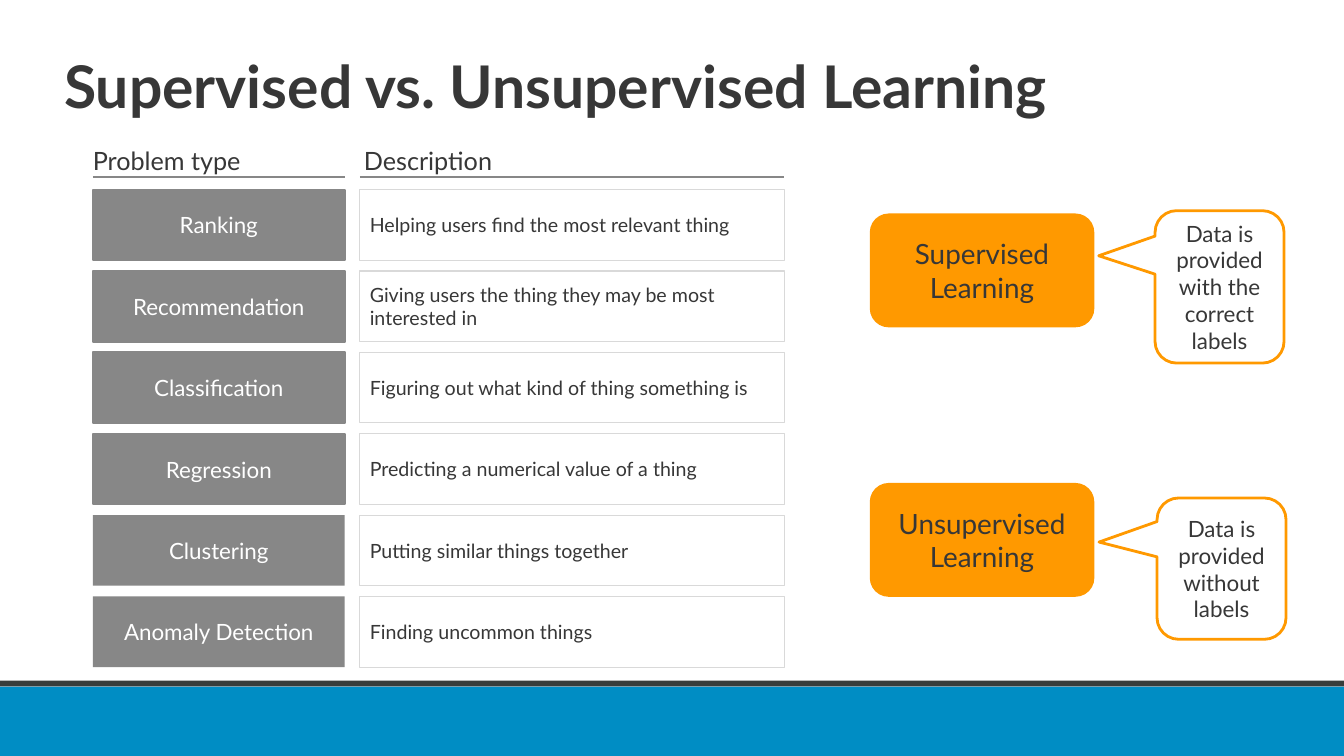
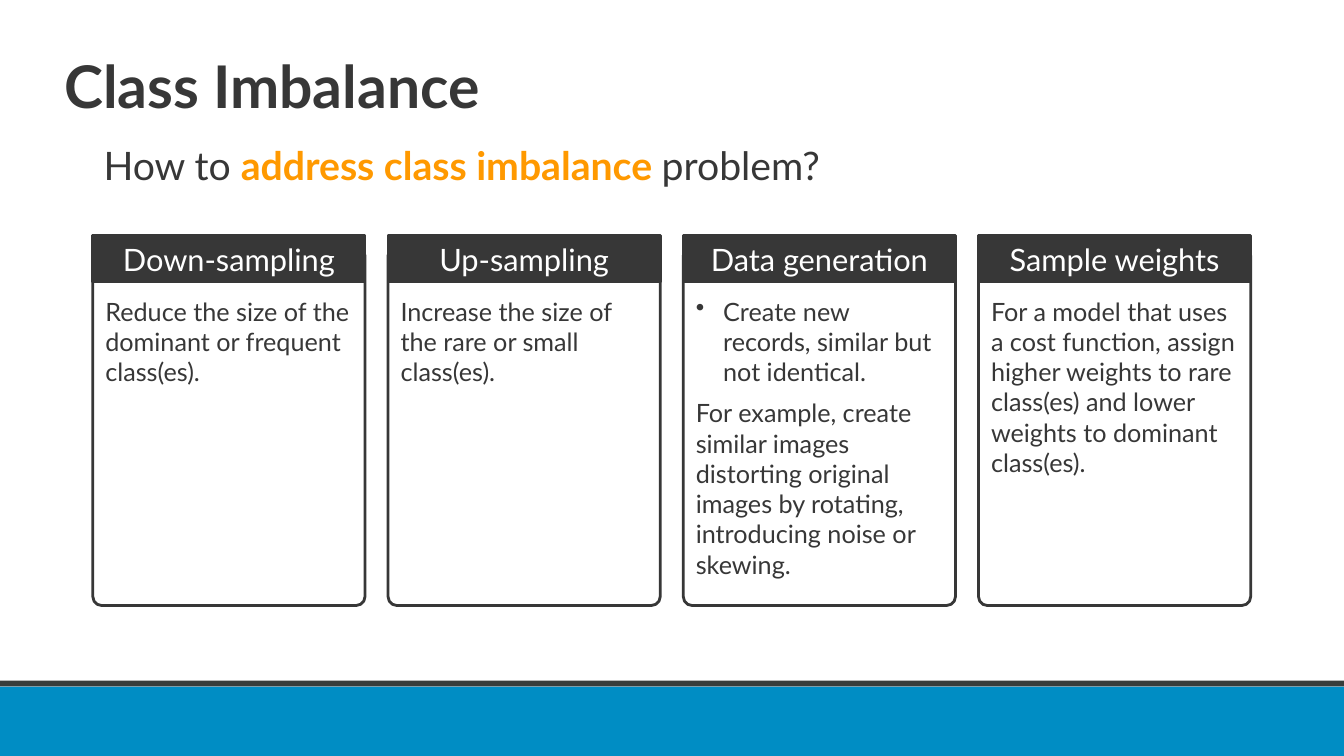
import pptx
import pptx.util
import pptx.dml.color
import pptx.enum.shapes
import pptx.enum.text
import lxml.etree
import pptx.oxml.ns

Cm = pptx.util.Cm
Pt = pptx.util.Pt
KIND = pptx.enum.shapes.MSO_SHAPE
ALIGN = pptx.enum.text.PP_ALIGN
ANCHOR = pptx.enum.text.MSO_ANCHOR
WIDE, HIGH = 33.87, 19.05
FONT = "Lato"
HUES = {
    "ink": "373737", "white": "FFFFFF", "blue": "008DC4", "edge": "383D3B",
    "gray": "878787", "pale": "D9D9D9", "gold": "FF9900",
}

TASKS = [
    ("Ranking", "Helping users find the most relevant thing", "gray"),
    ("Recommendation", "Giving users the thing they may be most interested in", "gray"),
    ("Classification", "Figuring out what kind of thing something is", "gray"),
    ("Regression", "Predicting a numerical value of a thing", "gray"),
    ("Clustering", "Putting similar things together", None),
    ("Anomaly Detection", "Finding uncommon things", None),
]
MODES = [
    ("Supervised Learning", (21.92, 5.38, 5.66, 2.87),
     "Data is provided with the correct labels", (29.11, 5.31, 3.25, 3.84),
     (-0.937, -0.204, 0.167)),
    ("Unsupervised Learning", (21.92, 12.17, 5.66, 2.87),
     "Data is provided without labels", (29.16, 12.55, 3.25, 3.56),
     (-0.95, -0.188, 0.167)),
]
CARDS = [
    ("Down-sampling", [("Reduce the size of the dominant or frequent class(es).", False)]),
    ("Up-sampling", [("Increase the size of the rare or small class(es).", False)]),
    ("Data generation", [
        ("Create new records, similar but not identical.", True),
        ("For example, create similar images distorting original images by "
         "rotating, introducing noise or skewing.", False)]),
    ("Sample weights", [
        ("For a model that uses a cost function, assign higher weights to rare "
         "class(es) and lower weights to dominant class(es).", False)]),
]


def tint(name):
    """Return the named colour."""
    return pptx.dml.color.RGBColor.from_string(HUES[name])


def say(shape, text, size, hue="ink", bold=False, align=ALIGN.LEFT,
        lead=None, gap=0, dot=False, join=False):
    """Write a paragraph in a shape, or join a run to its last one."""
    frame = shape.text_frame
    para = frame.paragraphs[-1]
    if not join:
        if para.runs:
            para = frame.add_paragraph()
            para.space_before = Pt(gap)
        para.alignment = align
        para.line_spacing = lead
        if dot:
            props = para._p.get_or_add_pPr()
            props.set("marL", str(Cm(0.69)))
            props.set("indent", str(-Cm(0.69)))
            mark = lxml.etree.SubElement(props, pptx.oxml.ns.qn("a:buChar"))
            mark.set("char", "•")
    run = para.add_run()
    run.text = text
    run.font.name = FONT
    run.font.size = Pt(size)
    run.font.bold = bold
    run.font.color.rgb = tint(hue)


def draw(shapes, kind, box, fill=None, line=None, width=1.5, adjust=()):
    """Add a preset shape with its fill, outline and adjustments."""
    shape = shapes.add_shape(kind, *map(Cm, box))
    shape.shadow.inherit = False
    if fill:
        shape.fill.solid()
        shape.fill.fore_color.rgb = tint(fill)
    else:
        shape.fill.background()
    if line:
        shape.line.color.rgb = tint(line)
        shape.line.width = Pt(width)
    else:
        shape.line.fill.background()
    for i, value in enumerate(adjust):
        shape.adjustments[i] = value
    shape.text_frame.word_wrap = True
    shape.text_frame.vertical_anchor = ANCHOR.MIDDLE
    return shape


def label(shapes, box):
    """Add an empty text box that wraps."""
    shape = shapes.add_textbox(*map(Cm, box))
    shape.text_frame.word_wrap = True
    return shape


def rule(shapes, left, top, width):
    """Add a level gray line."""
    line = shapes.add_connector(
        pptx.enum.shapes.MSO_CONNECTOR.STRAIGHT,
        Cm(left), Cm(top), Cm(left + width), Cm(top))
    line.line.color.rgb = tint("gray")
    line.line.width = Pt(1.5)
    lxml.etree.SubElement(line._element.spPr, pptx.oxml.ns.qn("a:effectLst"))


def start(deck, title):
    """Add a slide with the shared bands and title."""
    shapes = deck.slides.add_slide(deck.slide_layouts[6]).shapes
    draw(shapes, KIND.RECTANGLE, (0, 17.3, WIDE, HIGH - 17.3), "blue")
    draw(shapes, KIND.RECTANGLE, (0, 17.15, WIDE, 0.15), "edge")
    head = label(shapes, (1.37, 1.32, 29.21, 2.77))
    say(head, title, 42, bold=True, lead=0.9)
    return shapes


def grid(shapes, left, top):
    """Draw the problem types and their descriptions."""
    first, second, shift, step, tall = 6.35, 10.69, 6.73, 2.05, 1.78
    heads = [("Problem type", left, left, first),
             ("Description", left + shift + 0.1, left + shift, second)]
    for text, start_x, line_x, width in heads:
        head = label(shapes, (start_x, top, width, 1.07))
        head.text_frame.margin_left = 0
        say(head, text, 18, lead=1.2)
        rule(shapes, line_x, top + 1.09, width)
    for i, (name, about, line) in enumerate(TASKS):
        y = top + 1.4 + i * step
        cell = draw(shapes, KIND.RECTANGLE, (left, y, first, tall), "gray", line)
        say(cell, name, 16, "white", align=ALIGN.CENTER)
        cell = draw(shapes, KIND.RECTANGLE, (left + shift, y, second, tall),
                    line="pale", width=0.75)
        say(cell, about, 14)


def mode(shapes, name, box, note, place, adjust):
    """Draw a learning mode and the callout that explains it."""
    pill = draw(shapes, KIND.ROUNDED_RECTANGLE, box, "gold")
    say(pill, name, 19.9, align=ALIGN.CENTER)
    bubble = draw(shapes, KIND.ROUNDED_RECTANGULAR_CALLOUT, place,
                  "white", "gold", 2, adjust)
    say(bubble, note, 16, align=ALIGN.CENTER)


def card(shapes, box, name, paras):
    """Draw a grouped card with a dark header over its text."""
    left, top, width, height = box
    parts = shapes.add_group_shape().shapes
    body = draw(parts, KIND.ROUNDED_RECTANGLE,
                (left, top + 0.28, width, height - 0.28),
                "white", "ink", 2, [0.033])
    body.text_frame.vertical_anchor = ANCHOR.TOP
    body.text_frame.margin_top = Cm(1.17)
    for text, dot in paras:
        say(body, text, 18, gap=8, dot=dot)
    head = draw(parts, KIND.RECTANGLE, (left, top, width, 1.17), "ink", "ink", 2)
    say(head, name, 22, "white", align=ALIGN.CENTER)


def learning(deck):
    """Build the slide that compares the two learning modes."""
    shapes = start(deck, "Supervised vs. Unsupervised Learning")
    grid(shapes, 2.34, 3.38)
    for item in MODES:
        mode(shapes, *item)


def balance(deck):
    """Build the slide on class imbalance."""
    shapes = start(deck, "Class Imbalance")
    ask = label(shapes, (2.36, 3.58, 30.12, 1.4))
    say(ask, "How to ", 28, lead=0.9)
    say(ask, "address class imbalance ", 28, "gold", bold=True, join=True)
    say(ask, "problem?", 28, join=True)
    for i, (name, paras) in enumerate(CARDS):
        card(shapes, (2.34 + i * 7.44, 5.94, 6.86, 9.32), name, paras)


def main():
    """Build and save the deck."""
    deck = pptx.Presentation()
    deck.slide_width, deck.slide_height = Cm(WIDE), Cm(HIGH)
    learning(deck)
    balance(deck)
    deck.save("out.pptx")


if __name__ == "__main__":
    main()
